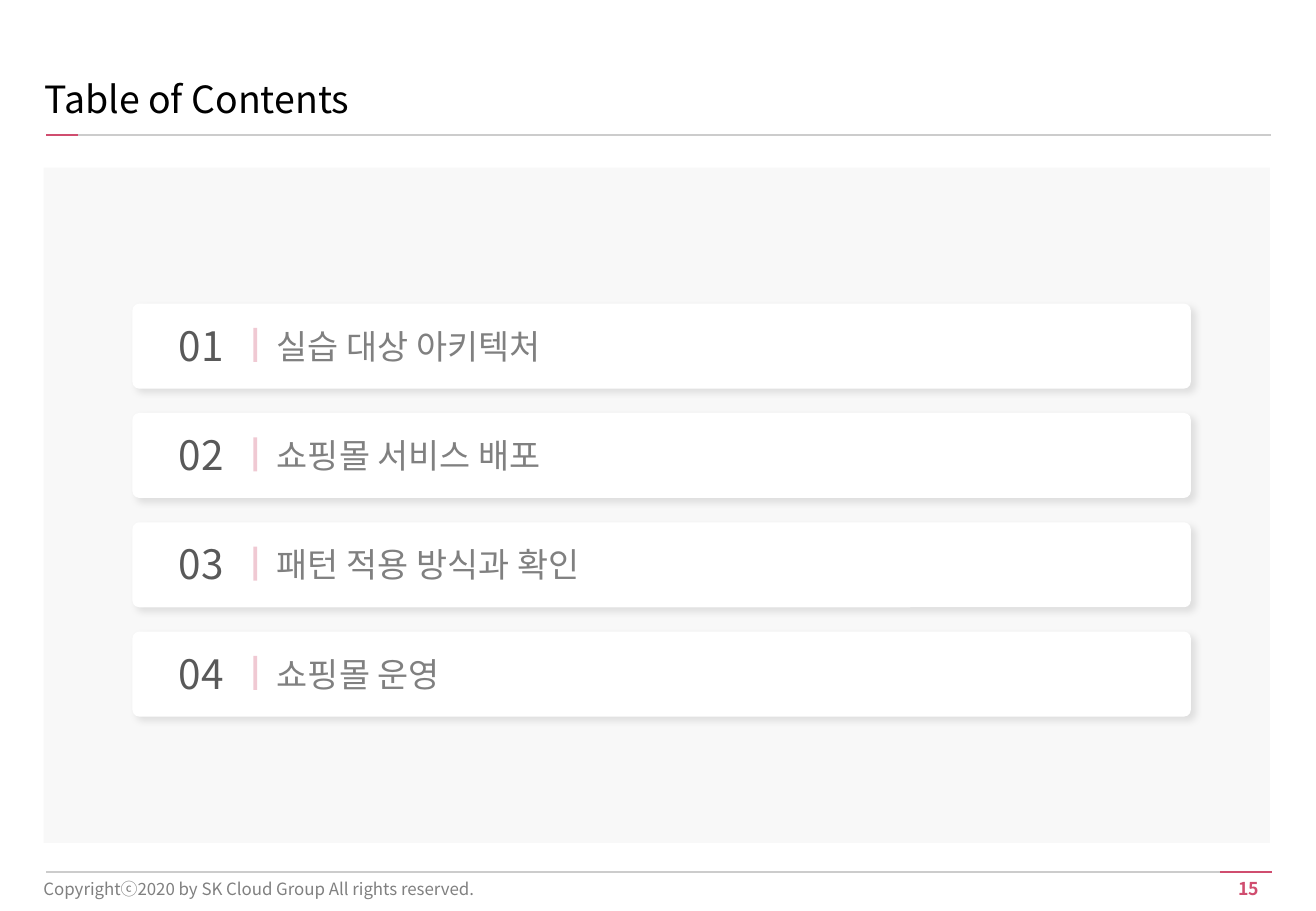
from lxml.etree import SubElement
from pptx import Presentation
from pptx.dml.color import RGBColor
from pptx.enum.shapes import MSO_CONNECTOR, MSO_SHAPE
from pptx.enum.text import MSO_ANCHOR, MSO_AUTO_SIZE, PP_ALIGN
from pptx.oxml.ns import qn
from pptx.util import Pt

PX = 9144  # EMU per px, 100 px to the inch
COLORS = {
    "white": "FFFFFF",
    "black": "000000",
    "panel": "F8F8F8",
    "rule": "CCCCCC",
    "accent": "D04D6F",
    "number": "595959",
    "text": "808080",
}
FONT_JP = "Noto Sans CJK JP"
FONT_KR = "Noto Sans CJK KR"
CHAPTERS = ["실습 대상 아키텍처", "쇼핑몰 서비스 배포", "패턴 적용 방식과 확인", "쇼핑몰 운영"]
ROW_TOP, ROW_PITCH, ROW_H = 250, 90, 70


def emu(*lengths):
    return [round(v * PX) for v in lengths]


def rgb(name):
    return RGBColor.from_string(COLORS[name])


def set_alpha(color_parent, percent):
    clr = next(color_parent.iter(qn("a:srgbClr")))
    SubElement(clr, qn("a:alpha"), val=str(percent * 1000))


class ContentsSlide:
    def __init__(self, prs):
        self.s = prs.slides.add_slide(prs.slide_layouts[5])

    def add_text(self, tf, text, size, color, font=FONT_JP, bold=False,
                 align=PP_ALIGN.LEFT, anchor=MSO_ANCHOR.TOP):
        tf.word_wrap = True
        tf.auto_size = MSO_AUTO_SIZE.NONE
        tf.vertical_anchor = anchor
        p = tf.paragraphs[0]
        p.alignment = align
        r = p.add_run()
        r.text = text
        r.font.size = Pt(size)
        r.font.bold = bold
        r.font.color.rgb = rgb(color)
        r.font.name = font
        SubElement(r._r.get_or_add_rPr(), qn("a:ea"), typeface=font)

    def title(self, x, y, w, h, text, size):
        sp = self.s.shapes.title
        sp.left, sp.top, sp.width, sp.height = emu(x, y, w, h)
        sp.text_frame.margin_left = emu(19)[0]
        self.add_text(sp.text_frame, text, size, "black", anchor=MSO_ANCHOR.MIDDLE)

    def text(self, x, y, w, h, text, size, color, **style):
        sp = self.s.shapes.add_textbox(*emu(x, y, w, h))
        self.add_text(sp.text_frame, text, size, color, **style)
        return sp

    def box(self, x, y, w, h, color, kind=MSO_SHAPE.RECTANGLE):
        sp = self.s.shapes.add_shape(kind, *emu(x, y, w, h))
        sp.shadow.inherit = False
        sp.fill.solid()
        sp.fill.fore_color.rgb = rgb(color)
        sp.line.fill.background()
        return sp

    def card(self, x, y, w, h):
        sp = self.box(x, y, w, h, "white", MSO_SHAPE.ROUNDED_RECTANGLE)
        sp.adjustments[0] = 0.08
        effects = sp._element.spPr.find(qn("a:effectLst"))
        shadow = SubElement(effects, qn("a:outerShdw"), blurRad=str(int(Pt(4))),
                            dist=str(int(Pt(3))), dir="2700000", algn="tl",
                            rotWithShape="0")
        SubElement(shadow, qn("a:srgbClr"), val=COLORS["black"])
        set_alpha(shadow, 10)

    def line(self, x1, y1, x2, y2, color, width=1.5, opacity=100):
        cn = self.s.shapes.add_connector(MSO_CONNECTOR.STRAIGHT, *emu(x1, y1, x2, y2))
        cn.line.width = Pt(width)
        cn.line.color.rgb = rgb(color)
        spPr = cn._element.spPr
        if opacity < 100:
            set_alpha(spPr, opacity)
        SubElement(spPr, qn("a:effectLst"))


def main():
    prs = Presentation()
    prs.slide_width, prs.slide_height = emu(1083, 750)
    page = ContentsSlide(prs)

    # Heading with its two-tone rule
    page.title(18, 58, 731, 46, "Table of Contents", 22.2)
    page.line(38, 111, 1046, 111, "rule")
    page.line(38, 111, 64, 111, "accent")

    # Chapter cards on the grey panel
    page.box(36, 138, 1009, 556, "panel")
    for i, chapter in enumerate(CHAPTERS):
        y = ROW_TOP + i * ROW_PITCH
        page.card(109, y, 871, ROW_H)
        page.text(122, y + 9, 87, 50, f"{i + 1:02}", 24, "number",
                  font=FONT_KR, align=PP_ALIGN.CENTER)
        page.line(210, y + 20, 210, y + 48, "accent", 2.25, 30)
        page.text(218, y + 13, 612, 44, chapter, 20, "text", font=FONT_KR)

    # Footer
    page.line(38, 718, 1046, 718, "rule")
    page.line(1004, 718, 1047, 718, "accent")
    page.text(26, 715, 570, 34, "Copyrightⓒ2020 by SK Cloud Group All rights reserved.",
              10, "text", anchor=MSO_ANCHOR.MIDDLE)
    number = page.text(979, 718, 57, 28, "15", 10.5, "accent",
                       bold=True, align=PP_ALIGN.RIGHT)
    number.text_frame.margin_right = 0

    prs.save("out.pptx")


if __name__ == "__main__":
    main()
